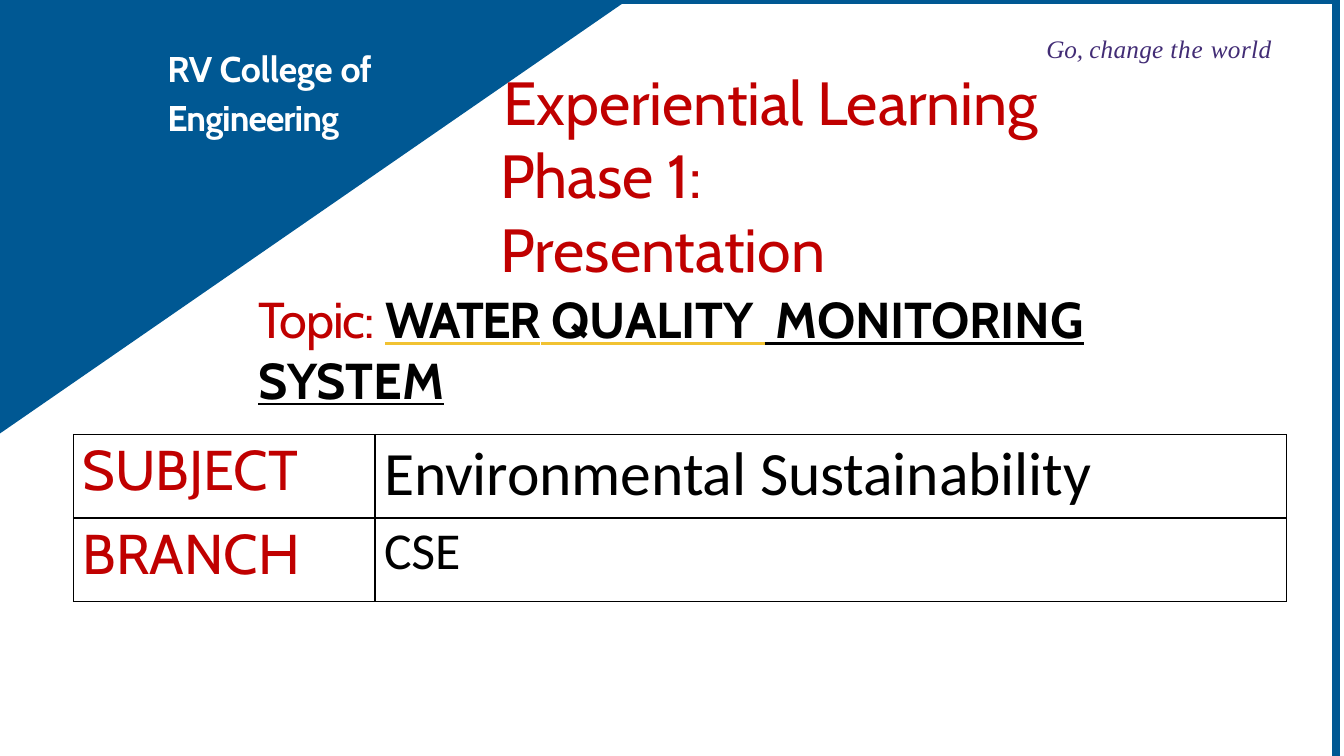
"""Build the opening slide of a student project presentation."""
from lxml import etree
from pptx import Presentation
from pptx.dml.color import RGBColor
from pptx.enum import text
from pptx.oxml.ns import qn
from pptx.util import Inches, Pt

COLORS = {"blue": "005893", "red": "C00000", "black": "000000",
          "white": "FFFFFF", "purple": "422C75", "gold": "F1C232"}


def prepare(frame, top=0.01):
    frame.word_wrap = True
    frame.auto_size = text.MSO_AUTO_SIZE.NONE
    frame.vertical_anchor = text.MSO_ANCHOR.TOP
    frame.margin_left = frame.margin_right = frame.margin_bottom = 0
    frame.margin_top = Inches(top)
    return frame.paragraphs[0]


def write(paragraph, words, font, size, color, tracking=0, bold=False, italic=False):
    run = paragraph.add_run()
    run.text = words
    run.font.name = font
    run.font.size = Pt(size)
    run.font.bold = bold
    run.font.italic = italic
    run.font.color.rgb = RGBColor.from_string(COLORS[color])
    run.font._element.set("spc", str(round(tracking * 100)))
    return run


deck = Presentation()
deck.slide_width, deck.slide_height = Inches(13.33), Inches(7.5)
slide = deck.slides.add_slide(deck.slide_layouts[5])
shapes = slide.shapes

edge_path = shapes.build_freeform(0, 0)
edge_path.add_line_segments([(Inches(13.25), 0), (Inches(13.25), Inches(7.5))], close=False)
edge = edge_path.convert_to_shape()
edge.shadow.inherit = False
edge.fill.background()
edge.line.color.rgb = RGBColor.from_string(COLORS["blue"])
edge.line.width = Pt(6)

corner_path = shapes.build_freeform(0, Inches(0.01))
corner_path.add_line_segments([(Inches(6.21), Inches(0.01)), (0, Inches(4.3))], close=True)
corner = corner_path.convert_to_shape()
corner.shadow.inherit = False
corner.fill.solid()
corner.fill.fore_color.rgb = RGBColor.from_string(COLORS["blue"])
corner.line.fill.background()

topic_box = shapes.add_textbox(Inches(2.56), Inches(2.85), Inches(10.19), Inches(0.62))
topic = prepare(topic_box.text_frame)
topic.space_before = Pt(1)
write(topic, "Topic: ", "Cabin", 36, "red", -0.8)
for words, tracking, underline in [("WATER", -1.5, "gold"), (" QUALITY ", -0.1, "gold"),
                                   (" MONITORING", -0.2, "black"), ("SYSTEM", -0.1, "black")]:
    if words == "SYSTEM":
        topic.add_line_break()
    run = write(topic, words, "Cabin", 36, "black", tracking, bold=True)
    run.font.underline = True
    underline_fill = etree.Element(qn("a:uFill"))
    solid = etree.SubElement(underline_fill, qn("a:solidFill"))
    etree.SubElement(solid, qn("a:srgbClr"), val=COLORS[underline])
    run.font._element.find(qn("a:latin")).addprevious(underline_fill)

college_box = shapes.add_textbox(Inches(1.66), Inches(0.4), Inches(2.34), Inches(1))
college = prepare(college_box.text_frame)
college.line_spacing = 1.14
college.space_before = Pt(0.9)
for words, tracking in [("RV ", -0.5), ("College ", -0.2), ("of", -0.7)]:
    write(college, words, "Cabin", 25.5, "white", tracking, bold=True)
college.add_line_break()
write(college, "Engineering", "Cabin", 25.5, "white", -0.7, bold=True)

motto_box = shapes.add_textbox(Inches(4.95), Inches(0.31), Inches(7.66), Inches(0.32))
motto = prepare(motto_box.text_frame, 0.02)
motto.alignment = text.PP_ALIGN.RIGHT
motto.space_before = Pt(1.2)
for words, tracking in [("Go, ", -0.1), ("change ", 0.2), ("the ", 0.6), ("world", 0.3)]:
    write(motto, words, "Times New Roman", 18, "purple", tracking, italic=True)

title = shapes.title
title.left, title.top, title.width, title.height = (
    Inches(4.96), Inches(0.63), Inches(7.65), Inches(2.2))
heading = prepare(title.text_frame, 0)
heading.alignment = text.PP_ALIGN.LEFT
heading.line_spacing = 1.01
heading._p.get_or_add_pPr().set("indent", str(Inches(0.03)))
write(heading, "Experiential Learning", "Cabin", 43.5, "red", -0.1)
for initial, rest in [("P", "hase 1:"), ("P", "resentation")]:
    heading.add_line_break()
    write(heading, initial, "Cabin", 43.5, "red", -2)
    write(heading, rest, "Cabin", 43.5, "red")
title.element.getparent().append(title.element)

details = shapes.add_table(2, 2, Inches(0.73), Inches(4.31), Inches(12.03), Inches(1.66)).table
details.first_row = details.horz_banding = False
for column, width in zip(details.columns, (2.99, 9.04)):
    column.width = Inches(width)
entries = [[("SUBJECT", "Cabin", 40, "red", 0, 1.4),
            ("Environmental Sustainability", "Calibri", 44, "black", -0.1, 1.2)],
           [("BRANCH", "Cabin", 40, "red", 0, 1.4),
            ("CSE", "Calibri", 37, "black", -0.1, 1.5)]]
for row, row_entries in enumerate(entries):
    details.rows[row].height = Inches(0.83)
    for column, (words, font, size, color, tracking, before) in enumerate(row_entries):
        cell = details.cell(row, column)
        cell.margin_left = Inches(0.09)
        cell.margin_right = cell.margin_bottom = 0
        cell.margin_top = Inches(0.02)
        entry = cell.text_frame.paragraphs[0]
        entry.space_before = Pt(before)
        write(entry, words, font, size, color, tracking)
        properties = cell._tc.get_or_add_tcPr()
        for side in ("lnL", "lnR", "lnT", "lnB"):
            border = etree.SubElement(properties, qn(f"a:{side}"), w=str(Pt(1)))
            solid = etree.SubElement(border, qn("a:solidFill"))
            etree.SubElement(solid, qn("a:srgbClr"), val=COLORS["black"])
        cell.fill.background()

deck.save("out.pptx")
